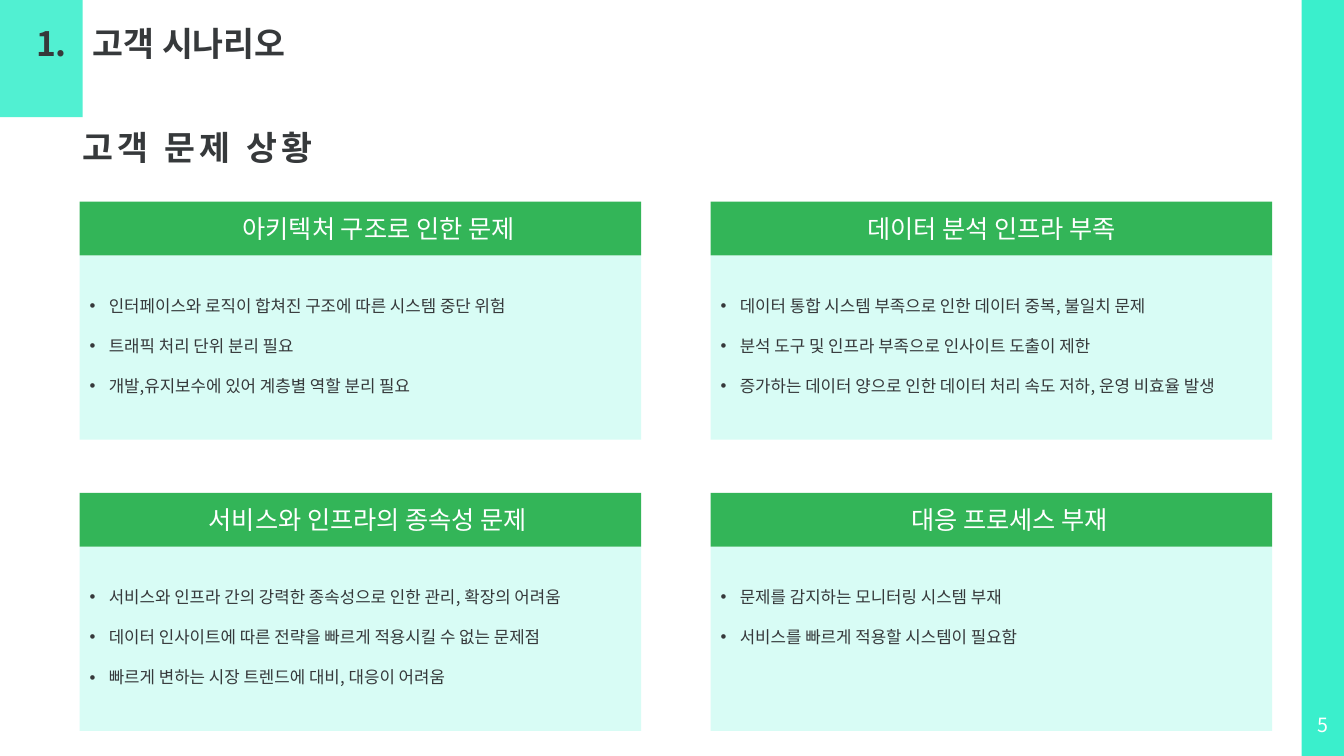
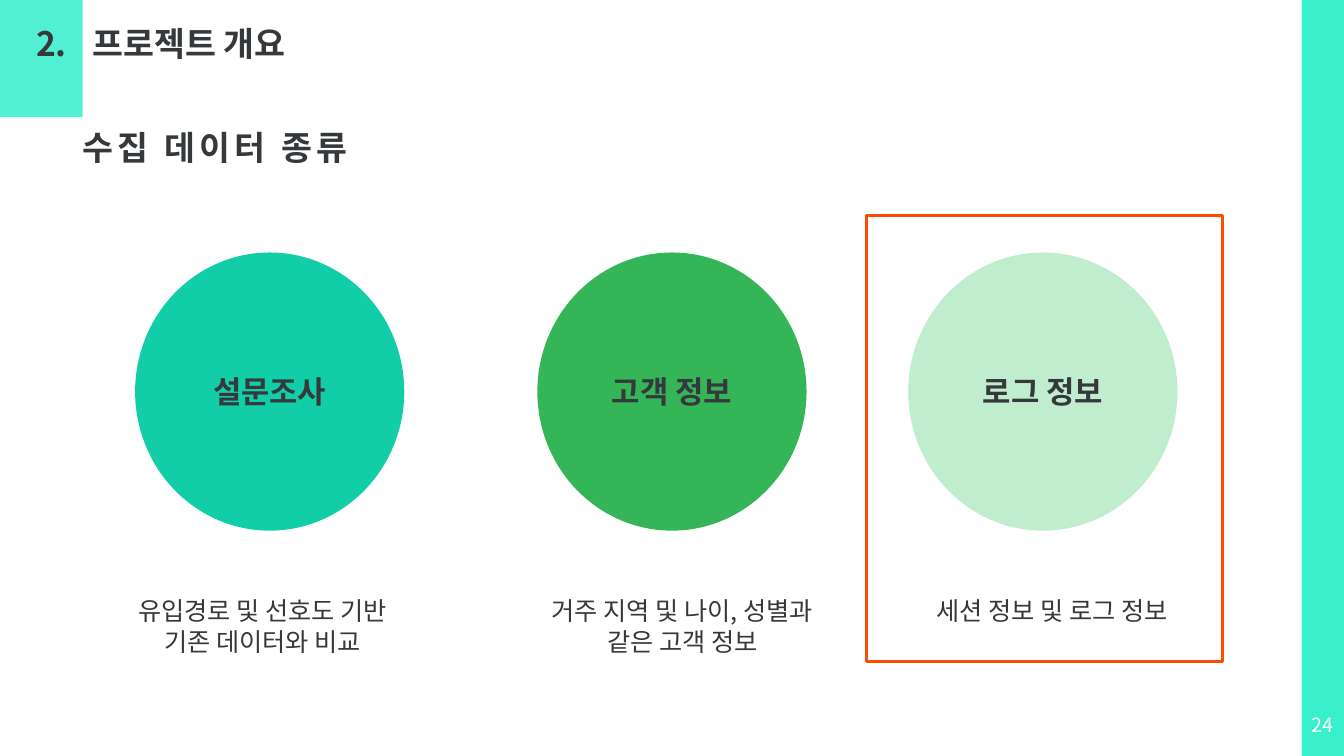
from dataclasses import dataclass

from lxml import etree
from pptx import Presentation
from pptx.dml.color import RGBColor
from pptx.enum.shapes import MSO_SHAPE
from pptx.enum.text import MSO_ANCHOR, PP_ALIGN
from pptx.oxml.ns import qn
from pptx.util import Emu, Inches, Pt

RECT, OVAL = MSO_SHAPE.RECTANGLE, MSO_SHAPE.OVAL
LEFT, CENTER, JUSTIFY = PP_ALIGN.LEFT, PP_ALIGN.CENTER, PP_ALIGN.JUSTIFY
TOP, MIDDLE, BOTTOM = MSO_ANCHOR.TOP, MSO_ANCHOR.MIDDLE, MSO_ANCHOR.BOTTOM

COLORS = {
    "mint": "3AEFCC", "pale_mint": "D8FCF5", "green": "33B558",
    "teal": "11CEA9", "pale_green": "C0EDCD", "orange": "FD4C00",
    "ink": "36393B", "white": "FFFFFF",
}
FONT = "Noto Sans CJK KR"
SLIDE_W, SLIDE_H = Inches(13.333), Inches(7.5)
INSET_X, INSET_Y = Inches(0.1), Inches(0.05)
BULLET_INDENT = Inches(0.19)


@dataclass(frozen=True)
class Box:
    """Left, top, width and height in percent of the slide."""
    left: float
    top: float
    width: float
    height: float

    def emu(self) -> list[Emu]:
        shares = (self.left, self.top, self.width, self.height)
        return [Emu(round(share * side / 100))
                for share, side in zip(shares, (SLIDE_W, SLIDE_H) * 2)]


@dataclass(frozen=True)
class ProblemCard:
    title: str
    title_shift: float
    points: list[str]


@dataclass(frozen=True)
class DataKind:
    label: str
    color: str
    left: float
    caption_center: float
    caption: list[str]


# Shared frame
SIDE_BAND = Box(96.85, 0, 3.15, 100)
CORNER = Box(0, 0, 6.15, 15.5)
CHAPTER_NUMBER = Box(1.95, 2.4, 5.2, 6.67)
CHAPTER = Box(6.15, 2.4, 21.8, 6.67)
SUBTITLE = Box(6.15, 16.4, 47.2, 5.73)
PAGE_NUMBER = Box(96.85, 93.07, 3.15, 5.6)

# Grid of problem cards
CARD_LEFT, CARD_TOP = 5.93, 26.67
CARD_STEP_X, CARD_STEP_Y = 46.95, 38.53
CARD_W, HEADER_H, BODY_H = 41.78, 7.1, 24.4
POINTS_DROP, POINTS_H = 9.07, 16.67
CARD_COLUMNS = 2

# Row of data kinds
CIRCLE_TOP, CIRCLE_W, CIRCLE_H = 33.4, 20.03, 36.8
CAPTION_TOP, CAPTION_W, CAPTION_H = 78.13, 24, 9.5
HIGHLIGHT = Box(64.5, 28.53, 26.48, 58.93)

CARDS = [
    ProblemCard("아키텍처 구조로 인한 문제", 1.35, [
        "인터페이스와 로직이 합쳐진 구조에 따른 시스템 중단 위험",
        "트래픽 처리 단위 분리 필요",
        "개발,유지보수에 있어 계층별 역할 분리 필요"]),
    ProblemCard("데이터 분석 인프라 부족", 0, [
        "데이터 통합 시스템 부족으로 인한 데이터 중복, 불일치 문제",
        "분석 도구 및 인프라 부족으로 인사이트 도출이 제한",
        "증가하는 데이터 양으로 인한 데이터 처리 속도 저하, 운영 비효율 발생"]),
    ProblemCard("서비스와 인프라의 종속성 문제", 0.55, [
        "서비스와 인프라 간의 강력한 종속성으로 인한 관리, 확장의 어려움",
        "데이터 인사이트에 따른 전략을 빠르게 적용시킬 수 없는 문제점",
        "빠르게 변하는 시장 트렌드에 대비, 대응이 어려움"]),
    ProblemCard("대응 프로세스 부재", 1.35, [
        "문제를 감지하는 모니터링 시스템 부재",
        "서비스를 빠르게 적용할 시스템이 필요함"]),
]

DATA_KINDS = [
    DataKind("설문조사", "teal", 10.05, 19.54,
             ["유입경로 및 선호도 기반", "기존 데이터와 비교"]),
    DataKind("고객 정보", "green", 39.98, 50.78,
             ["거주 지역 및 나이, 성별과", "같은 고객 정보"]),
    DataKind("로그 정보", "pale_green", 67.58, 78.26,
             ["세션 정보 및 로그 정보"]),
]


def rgb(name: str) -> RGBColor:
    return RGBColor.from_string(COLORS[name])


def add_block(slide, box: Box, fill: str | None = None, kind=RECT,
              line: str | None = None, alpha: int = 100):
    block = slide.shapes.add_shape(kind, *box.emu())
    block.shadow.inherit = False
    if fill:
        block.fill.solid()
        block.fill.fore_color.rgb = rgb(fill)
    else:
        block.fill.background()
    if line:
        block.line.color.rgb = rgb(line)
        block.line.width = Pt(2.25)
    else:
        block.line.fill.background()
    if alpha < 100:
        color = block.fill._xPr.find(".//" + qn("a:srgbClr"))
        etree.SubElement(color, qn("a:alpha"), val=str(alpha * 1000))
    return block


def write(shape, lines: list[str], *, size: float, color: str = "ink",
          bold: bool = False, font: str = FONT, align=LEFT, anchor=TOP,
          inset: bool = True, bullet: bool = False, tracking: float = 0,
          line_spacing: float | None = None) -> None:
    frame = shape.text_frame
    frame.word_wrap = True
    frame.vertical_anchor = anchor
    frame.margin_left = frame.margin_right = INSET_X if inset else 0
    frame.margin_top = frame.margin_bottom = INSET_Y if inset else 0
    for index, text in enumerate(lines):
        paragraph = frame.add_paragraph() if index else frame.paragraphs[0]
        if bullet:
            props = paragraph._p.get_or_add_pPr()
            props.set("marL", str(BULLET_INDENT))
            props.set("indent", str(-BULLET_INDENT))
            etree.SubElement(props, qn("a:buFont"), typeface="Arial")
            etree.SubElement(props, qn("a:buChar"), char="•")
        paragraph.alignment = align
        if line_spacing:
            paragraph.line_spacing = line_spacing
        run = paragraph.add_run()
        run.text = text
        run.font.size = Pt(size)
        run.font.bold = bold
        run.font.color.rgb = rgb(color)
        run.font.name = font
        run_props = run._r.get_or_add_rPr()
        etree.SubElement(run_props, qn("a:ea"), typeface=FONT)
        if tracking:
            run_props.set("spc", str(round(tracking * 100)))


def add_text(slide, box: Box, lines: list[str], **text_format) -> None:
    write(slide.shapes.add_textbox(*box.emu()), lines, **text_format)


def start_slide(deck, number: str, chapter: str, subtitle: str, page: str,
                chapter_font: str = FONT):
    slide = deck.slides.add_slide(deck.slide_layouts[6])
    add_block(slide, SIDE_BAND, "mint")
    add_block(slide, CORNER, "mint", alpha=88)
    add_text(slide, SUBTITLE, [subtitle], size=24, bold=True, tracking=3,
             anchor=BOTTOM, inset=False)
    add_text(slide, CHAPTER_NUMBER, [number], size=24, bold=True)
    add_text(slide, CHAPTER, [chapter], size=24, bold=True, font=chapter_font)
    add_text(slide, PAGE_NUMBER, [page], size=14, color="white",
             align=CENTER, anchor=MIDDLE, inset=False)
    return slide


def add_card(slide, card: ProblemCard, column: int, row: int) -> None:
    left = CARD_LEFT + column * CARD_STEP_X
    top = CARD_TOP + row * CARD_STEP_Y
    add_block(slide, Box(left, top + HEADER_H, CARD_W, BODY_H), "pale_mint")
    add_block(slide, Box(left, top, CARD_W, HEADER_H), "green")
    add_text(slide, Box(left + card.title_shift, top, CARD_W, HEADER_H),
             [card.title], size=18, color="white", align=CENTER, anchor=MIDDLE)
    add_text(slide, Box(left, top + POINTS_DROP, CARD_W, POINTS_H),
             card.points, size=12, align=JUSTIFY, bullet=True, line_spacing=2.0)


def add_data_kind(slide, kind: DataKind) -> None:
    circle = add_block(slide, Box(kind.left, CIRCLE_TOP, CIRCLE_W, CIRCLE_H),
                       kind.color, OVAL)
    write(circle, [kind.label], size=22, bold=True, align=CENTER, anchor=MIDDLE)
    caption_left = kind.caption_center - CAPTION_W / 2
    add_text(slide, Box(caption_left, CAPTION_TOP, CAPTION_W, CAPTION_H),
             kind.caption, size=18, align=CENTER)


def main() -> None:
    deck = Presentation()
    deck.slide_width, deck.slide_height = SLIDE_W, SLIDE_H

    # Customer problems
    problems = start_slide(deck, "1.", "고객 시나리오", "고객 문제 상황", "5",
                           chapter_font="Arial")
    for index, card in enumerate(CARDS):
        row, column = divmod(index, CARD_COLUMNS)
        add_card(problems, card, column, row)

    # Kinds of collected data
    collected = start_slide(deck, "2.", "프로젝트 개요", "수집 데이터 종류", "24")
    for kind in DATA_KINDS:
        add_data_kind(collected, kind)
    add_block(collected, HIGHLIGHT, line="orange")

    deck.save("out.pptx")


if __name__ == "__main__":
    main()
